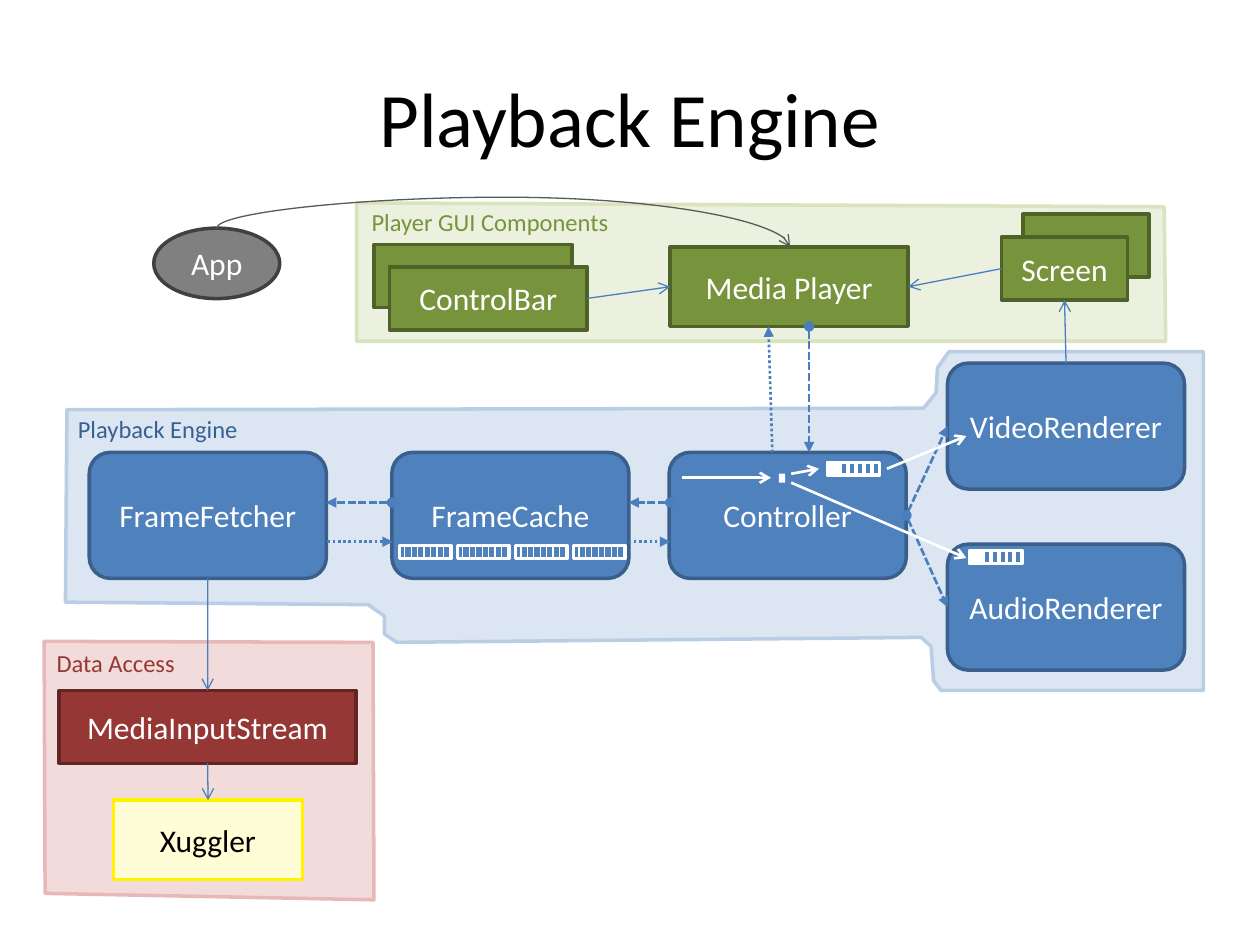
from lxml.etree import SubElement
from pptx import Presentation
from pptx.dml.color import RGBColor
from pptx.enum.dml import MSO_LINE
from pptx.enum.shapes import MSO_CONNECTOR, MSO_SHAPE
from pptx.enum.text import MSO_ANCHOR, PP_ALIGN
from pptx.oxml.ns import qn
from pptx.util import Cm, Pt

THEME = {
    "font": "Calibri", "title": 44, "box": 18, "label": 14, "border": 2,
    "black": "000000", "white": "FFFFFF", "arrow": "4B7EBC", "curve": "595959",
    # kind: fill, line, text
    "engine": ("4F81BD", "3A5F8C", "FFFFFF"),
    "gui": ("77933C", "4F6228", "FFFFFF"),
    "data": ("953735", "632523", "FFFFFF"),
    "library": ("FFFDD5", "FFF301", "000000"),
    "app": ("808080", "404040", "FFFFFF"),
    # area: fill, line, label
    "gui area": ("EBF1DE", "D7E4BD", "77933C"),
    "engine area": ("DCE6F2", "B9CDE5", "376092"),
    "data area": ("F2DCDB", "E6B9B8", "953735"),
}

# All positions and sizes are centimetres.
TITLE = "Playback Engine"
AREAS = [  # kind, label, label box, outline
    ("gui area", "Player GUI Components", (7.24, 4.04, 5.33, 0.86),
     [(7.19, 4.09), (7.19, 6.88), (23.5, 6.88), (23.47, 4.17)]),
    ("engine area", "Playback Engine", (1.32, 8.23, 3.76, 0.86),
     [(1.35, 8.26), (1.32, 12.14), (7.42, 12.19), (7.75, 12.42), (7.75, 12.78),
      (8, 12.95), (18.57, 12.85), (18.77, 13.03), (18.82, 13.72), (18.97, 13.92),
      (24.26, 13.92), (24.26, 7.09), (19.13, 7.09), (18.9, 7.42), (18.87, 7.92),
      (18.62, 8.23)]),
    ("data area", "Data Access", (0.89, 12.93, 2.92, 0.86),
     [(0.91, 18.01), (0.89, 12.93), (7.52, 12.95), (7.54, 18.14)]),
]
ENGINE, BAR, SCREEN = (4.78, 2.54), (3.99, 1.27), (2.54, 1.27)
BOXES = [  # text, kind, position, size; of two alike the later is in front
    ("Xuggler", "library", (2.29, 16.13), (3.81, 1.6)),
    ("MediaInputStream", "data", (1.19, 13.92), (5.99, 1.47)),
    ("FrameFetcher", "engine", (1.8, 9.12), ENGINE),
    ("FrameCache", "engine", (7.9, 9.12), ENGINE),
    ("Controller", "engine", (13.49, 9.12), ENGINE),
    ("AudioRenderer", "engine", (19.1, 10.97), ENGINE),
    ("VideoRenderer", "engine", (19.1, 7.32), ENGINE),
    ("Media Player", "gui", (13.51, 4.98), (4.8, 1.6)),
    ("Screen", "gui", (20.62, 4.32), SCREEN),
    ("Screen", "gui", (20.19, 4.78), SCREEN),
    ("ControlBar", "gui", (7.54, 4.93), BAR),
    ("ControlBar", "gui", (7.85, 5.38), BAR),
    ("App", "app", (3.1, 4.6), (2.54, 1.42)),
]
SHAPES = {"engine": MSO_SHAPE.ROUNDED_RECTANGLE, "app": MSO_SHAPE.OVAL}
STYLES = {  # width, dash, head, tail
    "thin": (0.75, None, None, "arrow"),
    "call": (1.5, MSO_LINE.SQUARE_DOT, "oval", "triangle"),
    "reply": (1.5, MSO_LINE.ROUND_DOT, None, "triangle"),
    "frame": (1.5, None, None, "arrow"),
}
TOP, LEFT, BOTTOM, RIGHT = range(4)
JOINS = [
    ("MediaInputStream", BOTTOM, "Xuggler", TOP, "thin"),
    ("FrameFetcher", BOTTOM, "MediaInputStream", TOP, "thin"),
    ("Controller", RIGHT, "VideoRenderer", LEFT, "call"),
    ("Controller", RIGHT, "AudioRenderer", LEFT, "call"),
    ("ControlBar", RIGHT, "Media Player", LEFT, "thin"),
    ("Screen", LEFT, "Media Player", RIGHT, "thin"),
    ("VideoRenderer", TOP, "Screen", BOTTOM, "thin"),
]
ARROWS = [  # from x, y, to x, y, style
    (7.9, 10.13, 6.57, 10.13, "call"), (6.6, 10.92, 7.92, 10.92, "reply"),
    (13.51, 10.13, 12.67, 10.13, "call"), (12.67, 10.92, 13.51, 10.92, "reply"),
    (16.31, 6.58, 16.31, 9.12, "call"), (15.57, 9.12, 15.49, 6.58, "reply"),
]
FRAME_ARROWS = [
    (15.95, 9.55, 16.51, 9.45), (17.88, 9.45, 19.48, 8.79),
    (15.95, 9.73, 19.48, 11.25), (13.74, 9.63, 15.54, 9.63),
]
FRAME = (15.7, 9.55, 0.13, 0.18)
BUFFER_W, BUFFER_H = 1.04, 0.26
CACHE_BUFFERS = [(8.05 + 1.17 * i, 11) for i in range(4)]
PLAY_BUFFERS = [(16.69, 9.32), (19.56, 11.1)]
CACHE_TICKS = [0.11 + 0.13 * i for i in range(7)]
PLAY_TICKS = [0.41 + 0.16 * i for i in range(4)]


def rgb(name):
    return RGBColor.from_string(THEME.get(name, name))


def paint(sp, fill, line=None):
    sp.shadow.inherit = False
    sp.fill.solid()
    sp.fill.fore_color.rgb = rgb(fill)
    if line:
        sp.line.color.rgb = rgb(line)
        sp.line.width = Pt(THEME["border"])
    else:
        sp.line.fill.background()


def write(sp, text, size, color, align=PP_ALIGN.CENTER, anchor=MSO_ANCHOR.MIDDLE):
    tf = sp.text_frame
    tf.text = text
    tf.vertical_anchor = anchor
    p = tf.paragraphs[0]
    p.alignment = align
    p.font.name = THEME["font"]
    p.font.size = Pt(THEME[size])
    p.font.color.rgb = rgb(color)
    return tf


def rect(shapes, box, fill, line=None, kind=MSO_SHAPE.RECTANGLE):
    sp = shapes.add_shape(kind, *map(Cm, box))
    paint(sp, fill, line)
    return sp


def connect(shapes, ends, color, width, dash=None, head=None, tail=None,
            kind=MSO_CONNECTOR.STRAIGHT):
    cx = shapes.add_connector(kind, *map(Cm, ends))
    cx.line.color.rgb = rgb(color)
    cx.line.width = Pt(width)
    if dash:
        cx.line.dash_style = dash
    ln = cx.line._get_or_add_ln()
    for tag, end in (("a:headEnd", head), ("a:tailEnd", tail)):
        if end:
            SubElement(ln, qn(tag), type=end)
    SubElement(cx._element.spPr, qn("a:effectLst"))
    return cx


def add_buffer(s, x, y, ticks, width):
    shapes = s.shapes.add_group_shape().shapes
    rect(shapes, (x, y, BUFFER_W, BUFFER_H), "4F81BD", "white")
    for dx in ticks:
        connect(shapes, (x + dx, y, x + dx, y + BUFFER_H), "white", width)
    return shapes


def add_app_curve(s):
    """Curve from the top of App over to the top of Media Player."""
    cx = connect(s.shapes, (10.34, -0.99, 9.96, 10.57), "curve", 0.75, tail="arrow",
                 kind=MSO_CONNECTOR.CURVE)
    spPr = cx._element.spPr
    spPr.find(qn("a:xfrm")).set("rot", str(270 * 60000))
    guides = spPr.find(qn("a:prstGeom")).get_or_add_avLst()
    SubElement(guides, qn("a:gd"), name="adj1", fmla="val -164300")


def main():
    prs = Presentation()
    prs.slide_width, prs.slide_height = Cm(25.4), Cm(19.05)
    s = prs.slides.add_slide(prs.slide_layouts[5])

    title = s.shapes.title
    title.left, title.top, title.width, title.height = map(Cm, (1.27, 0.76, 22.86, 3.18))
    write(title, TITLE, "title", "black")

    for kind, _, _, outline in AREAS:
        start, *rest = [(Cm(x), Cm(y)) for x, y in outline]
        fb = s.shapes.build_freeform(*start)
        fb.add_line_segments(rest, close=True)
        paint(fb.convert_to_shape(), *THEME[kind][:2])

    boxes = {}
    for text, kind, pos, size in BOXES:
        fill, line, color = THEME[kind]
        shape = SHAPES.get(kind, MSO_SHAPE.RECTANGLE)
        boxes[text] = rect(s.shapes, pos + size, fill, line, shape)
        write(boxes[text], text, "box", color)

    for a, a_side, b, b_side, style in JOINS:
        cx = connect(s.shapes, (0, 0, 1, 1), "arrow", *STYLES[style])
        cx.begin_connect(boxes[a], a_side)
        cx.end_connect(boxes[b], b_side)
    for *ends, style in ARROWS:
        connect(s.shapes, ends, "arrow", *STYLES[style])
    add_app_curve(s)

    for x, y in CACHE_BUFFERS:
        add_buffer(s, x, y, CACHE_TICKS, 0.75)
    for x, y in PLAY_BUFFERS:
        shapes = add_buffer(s, x, y, PLAY_TICKS, 2.25)
        rect(shapes, (x, y, BUFFER_H, BUFFER_H), "white", "white")
    rect(s.shapes, FRAME, "white")
    for ends in FRAME_ARROWS:
        connect(s.shapes, ends, "white", *STYLES["frame"])

    for kind, label, box, _ in AREAS:
        tb = s.shapes.add_textbox(*map(Cm, box))
        tf = write(tb, label, "label", THEME[kind][2], PP_ALIGN.LEFT, MSO_ANCHOR.TOP)
        tf.word_wrap = False

    prs.save("out.pptx")


if __name__ == "__main__":
    main()
